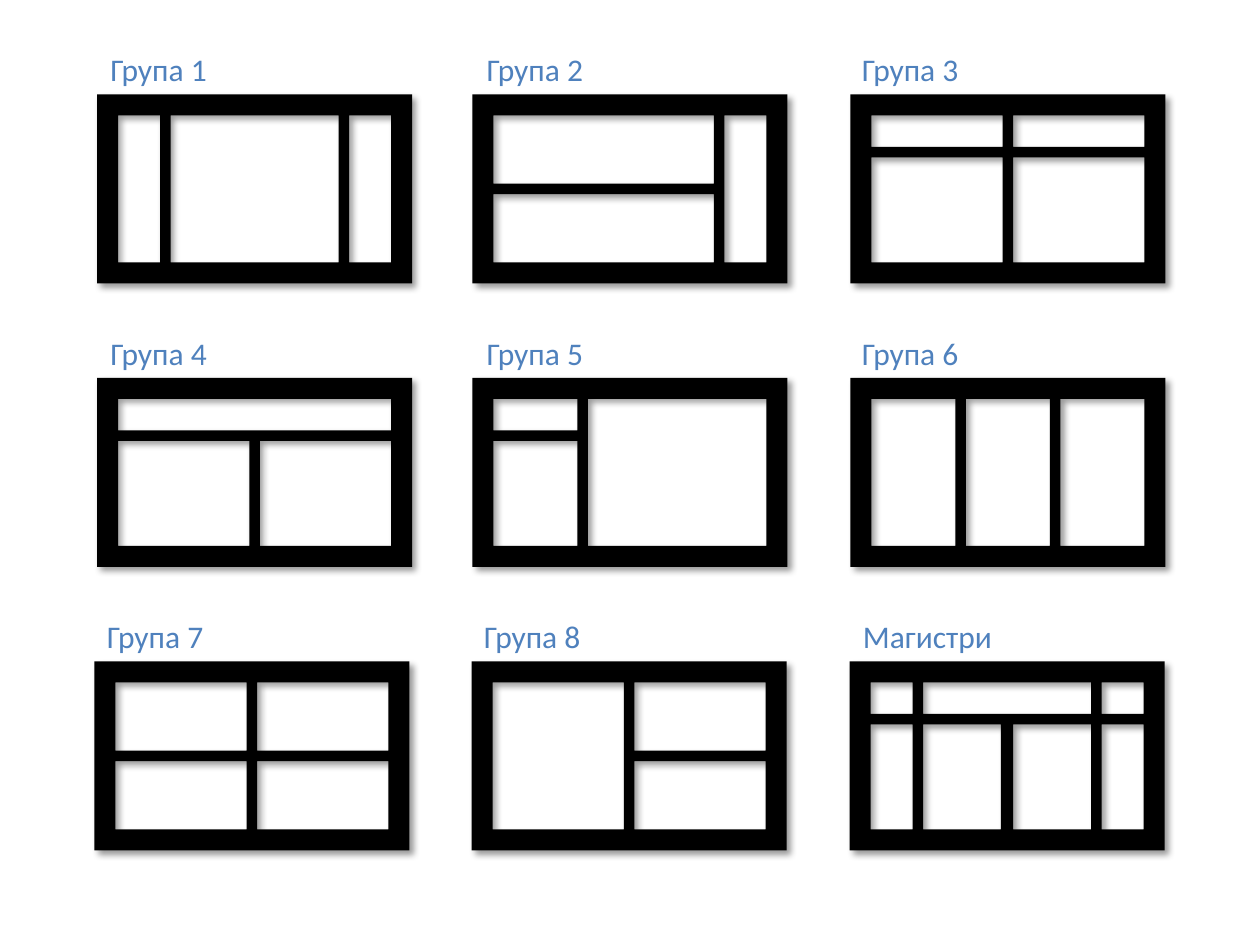
from dataclasses import dataclass
from itertools import product

from lxml.etree import SubElement
from pptx import Presentation
from pptx.dml.color import RGBColor
from pptx.enum.text import MSO_AUTO_SIZE as AutoSize
from pptx.oxml.ns import qn
from pptx.util import Pt


@dataclass(frozen=True)
class Theme:
    frame: str = "000000"
    shadow: str = "000000"
    label: str = "4F81BD"
    font: str = "Calibri"
    label_size: float = 18


THEME = Theme()

# Window frame, in points: outer size, border and bar between panes
FRAME_W, FRAME_H, BORDER, BAR = 180, 108, 12, 6
ROW_TOPS = (54, 216, 378)
LABEL_RISE, LABEL_H = 28.8, 29


def split(length, *cuts):
    """Spans between the borders, parted by a bar that starts at each cut."""
    starts = (BORDER, *(cut + BAR for cut in cuts))
    return list(zip(starts, (*cuts, length - BORDER)))


FULL_W, FULL_H = split(FRAME_W), split(FRAME_H)
HALVES_W, HALVES_H = split(FRAME_W, 87), split(FRAME_H, 51)
THIRDS_W = split(FRAME_W, 60, 114)
SIDES_W = split(FRAME_W, 36, 138)
TRANSOM_H = split(FRAME_H, 30)
TOP, BELOW = TRANSOM_H[:1], TRANSOM_H[1:]
MASTER_LOWER_W = [SIDES_W[0], (42, 86.5), (93.5, 138), SIDES_W[2]]


def panes(columns, rows):
    return list(product(columns, rows))


# Label, label left, label width, frame left, panes; row by row
WINDOWS = (
    (
        ("Група 1", 56, 88, 55.5, panes(SIDES_W, FULL_H)),
        ("Група 2", 271, 88, 270,
         panes([(12, 138)], HALVES_H) + panes(SIDES_W[2:], FULL_H)),
        ("Група 3", 485.5, 88, 486, panes(HALVES_W, TRANSOM_H)),
    ),
    (
        ("Група 4", 56, 88, 55.5,
         panes(FULL_W, TOP) + panes(HALVES_W, BELOW)),
        ("Група 5", 271, 88, 270,
         panes(THIRDS_W[:1], TRANSOM_H) + panes([(66, 168)], FULL_H)),
        ("Група 6", 485.5, 88, 486, panes(THIRDS_W, FULL_H)),
    ),
    (
        ("Група 7", 54, 88, 54, panes(HALVES_W, HALVES_H)),
        ("Група 8", 269.5, 88, 269.5,
         panes(HALVES_W[:1], FULL_H) + panes(HALVES_W[1:], HALVES_H)),
        ("Магистри", 486, 104, 485.5,
         panes(SIDES_W, TOP) + panes(MASTER_LOWER_W, BELOW)),
    ),
)


def add_shadow(shape, blur=4, distance=3, angle=45, opacity=40):
    shape.shadow.inherit = False
    effects = shape.element.spPr.find(qn("a:effectLst"))
    shadow = SubElement(
        effects, qn("a:outerShdw"), blurRad=str(Pt(blur)),
        dist=str(Pt(distance)), dir=str(angle * 60000),
        algn="tl", rotWithShape="0")
    color = SubElement(shadow, qn("a:srgbClr"), val=THEME.shadow)
    SubElement(color, qn("a:alpha"), val=str(opacity * 1000))


def add_window(slide, left, top, openings):
    """Draw one frame with its panes cut out as holes."""
    def corner(x, y):
        return Pt(left + x), Pt(top + y)

    outline = slide.shapes.build_freeform(*corner(0, 0))
    outline.add_line_segments(
        [corner(FRAME_W, 0), corner(FRAME_W, FRAME_H), corner(0, FRAME_H)])
    # Holes run against the direction of the outer edge
    for (x1, x2), (y1, y2) in openings:
        outline.move_to(*corner(x1, y1))
        outline.add_line_segments(
            [corner(x1, y2), corner(x2, y2), corner(x2, y1)])
    window = outline.convert_to_shape()
    window.fill.solid()
    window.fill.fore_color.rgb = RGBColor.from_string(THEME.frame)
    window.line.fill.background()
    add_shadow(window)


def add_text(slide, text, *, left, top, width, height, size, color, font):
    box = slide.shapes.add_textbox(Pt(left), Pt(top), Pt(width), Pt(height))
    frame = box.text_frame
    frame.word_wrap = True
    frame.auto_size = AutoSize.SHAPE_TO_FIT_TEXT
    run = frame.paragraphs[0].add_run()
    run.text = text
    run.font.size = Pt(size)
    run.font.name = font
    run.font.color.rgb = RGBColor.from_string(color)


def main():
    deck = Presentation()
    deck.slide_width, deck.slide_height = Pt(720), Pt(540)
    slide = deck.slides.add_slide(deck.slide_layouts[6])

    # Three rows of labelled windows
    for top, row in zip(ROW_TOPS, WINDOWS):
        for label, label_left, label_width, left, openings in row:
            add_window(slide, left, top, openings)
            add_text(slide, label, left=label_left, top=top - LABEL_RISE,
                     width=label_width, height=LABEL_H,
                     size=THEME.label_size, color=THEME.label,
                     font=THEME.font)

    deck.save("out.pptx")


if __name__ == "__main__":
    main()
